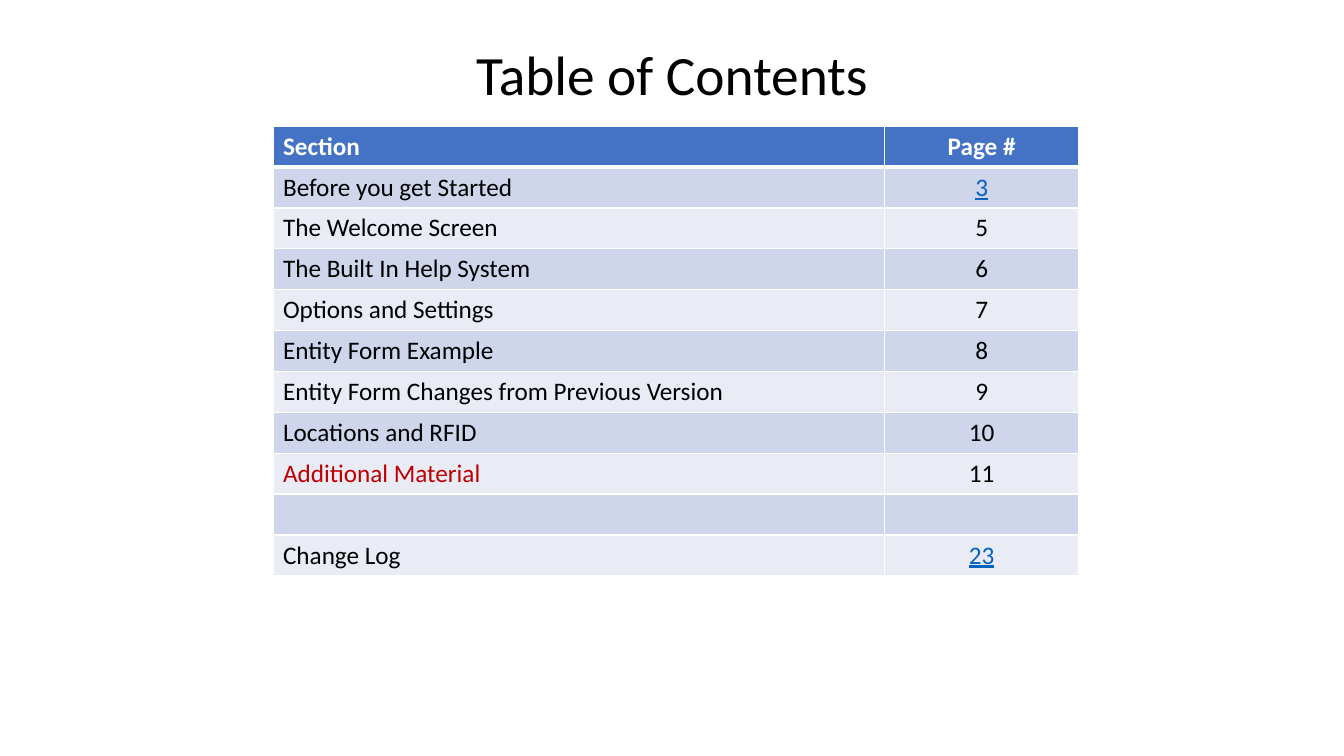
from pptx import Presentation
from pptx.dml.color import RGBColor
from pptx.enum.text import MSO_ANCHOR, MSO_AUTO_SIZE, PP_ALIGN
from pptx.oxml.ns import qn
from pptx.util import Cm, Pt
from lxml.etree import SubElement

COLORS = {
    "black": "000000",
    "white": "FFFFFF",
    "header": "4472C4",
    "dark_band": "CFD5EA",
    "light_band": "E9EBF5",
    "link": "0563C1",
    "red": "C00000",
}
CONTENTS = [
    ("Section", "Page #"),
    ("Before you get Started", "3"),
    ("The Welcome Screen", "5"),
    ("The Built In Help System", "6"),
    ("Options and Settings", "7"),
    ("Entity Form Example", "8"),
    ("Entity Form Changes from Previous Version", "9"),
    ("Locations and RFID", "10"),
    ("Additional Material", "11"),
    ("", ""),
    ("Change Log", "23"),
]
LINKED_PAGES = ("3", "23")
COLUMN_WIDTHS = (15.42, 4.88)
ROW_HEIGHT = 1.03


def add_span(para, text, size, color):
    span = para.add_run()
    span.text = text
    span.font.name = "Calibri"
    span.font.size = Pt(size)
    span.font.color.rgb = RGBColor.from_string(COLORS[color])
    return span


def add_border(cell, side, points):
    properties = cell._tc.get_or_add_tcPr()
    line = SubElement(properties, qn(f"a:{side}"), w=str(Pt(points)))
    fill = SubElement(line, qn("a:solidFill"))
    SubElement(fill, qn("a:srgbClr"), val=COLORS["white"])


deck = Presentation()
deck.slide_width = Cm(33.87)
deck.slide_height = Cm(19.05)
page = deck.slides.add_slide(deck.slide_layouts[5])

title = page.shapes.title
title.left, title.top, title.width, title.height = Cm(2.33), Cm(1.02), Cm(29.21), Cm(1.85)
title.text_frame.auto_size = MSO_AUTO_SIZE.NONE
title.text_frame.vertical_anchor = MSO_ANCHOR.MIDDLE
title_para = title.text_frame.paragraphs[0]
title_para.alignment = PP_ALIGN.CENTER
title_para.line_spacing = 0.9
add_span(title_para, "Table of Contents", 39.6, "black")

table = page.shapes.add_table(
    len(CONTENTS), len(COLUMN_WIDTHS), Cm(6.88), Cm(3.18),
    Cm(sum(COLUMN_WIDTHS)), Cm(ROW_HEIGHT * len(CONTENTS)),
).table
for column, width in zip(table.columns, COLUMN_WIDTHS):
    column.width = Cm(width)

for row_index, entry in enumerate(CONTENTS):
    is_header = row_index == 0
    table.rows[row_index].height = Cm(ROW_HEIGHT)
    band = "header" if is_header else "dark_band" if row_index % 2 else "light_band"
    for column_index, text in enumerate(entry):
        cell = table.cell(row_index, column_index)
        for side in ("lnL", "lnR", "lnT", "lnB"):
            meets_header_rule = (row_index, side) in ((0, "lnB"), (1, "lnT"))
            add_border(cell, side, 3 if meets_header_rule else 1)
        cell.fill.solid()
        cell.fill.fore_color.rgb = RGBColor.from_string(COLORS[band])
        para = cell.text_frame.paragraphs[0]
        para.alignment = PP_ALIGN.CENTER if column_index else PP_ALIGN.LEFT
        if not text:
            continue
        is_link = text in LINKED_PAGES
        color = "black"
        if is_header:
            color = "white"
        elif is_link:
            color = "link"
        elif text == "Additional Material":
            color = "red"
        span = add_span(para, text, 18, color)
        span.font.bold = is_header
        span.font.underline = is_link

deck.save("out.pptx")
